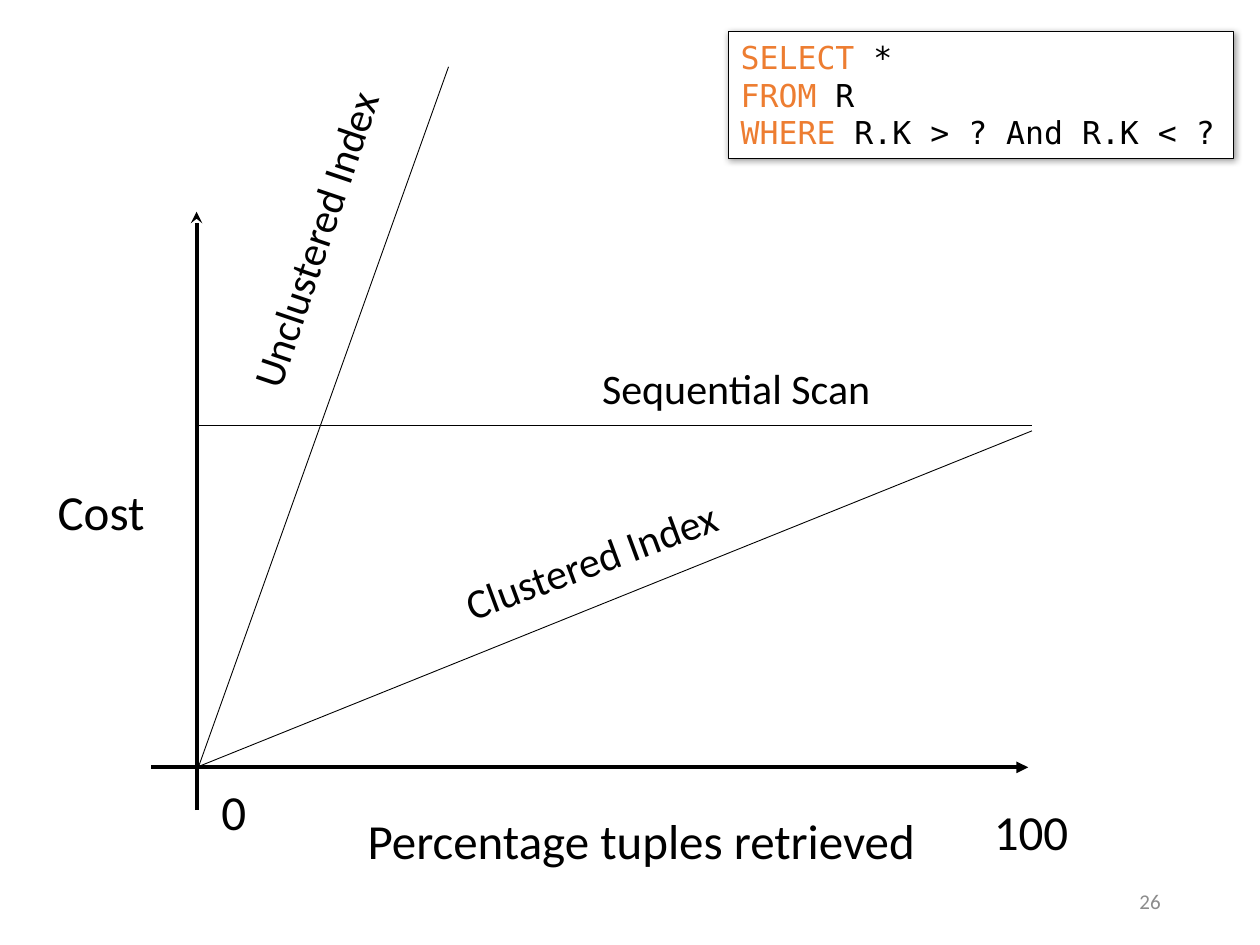
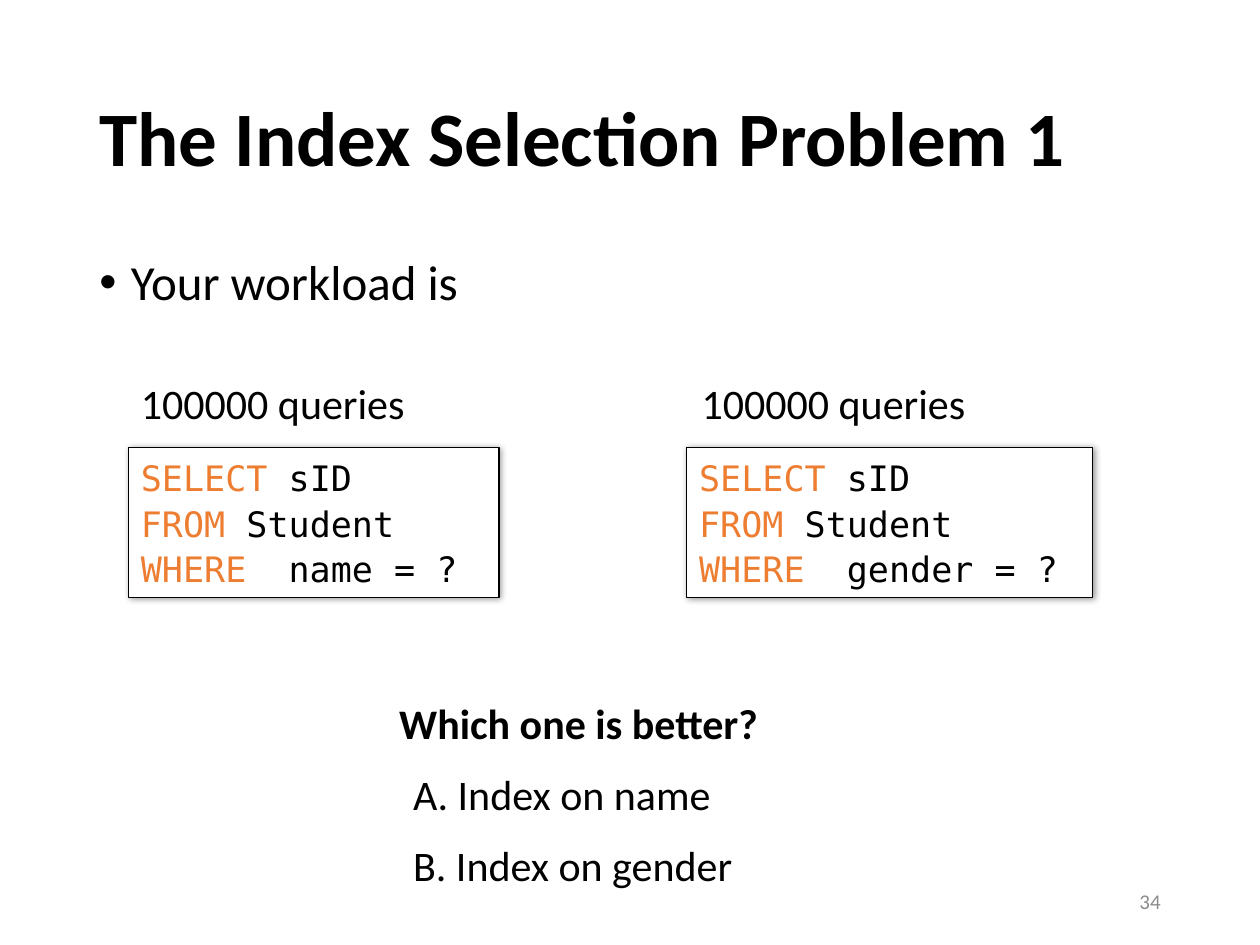
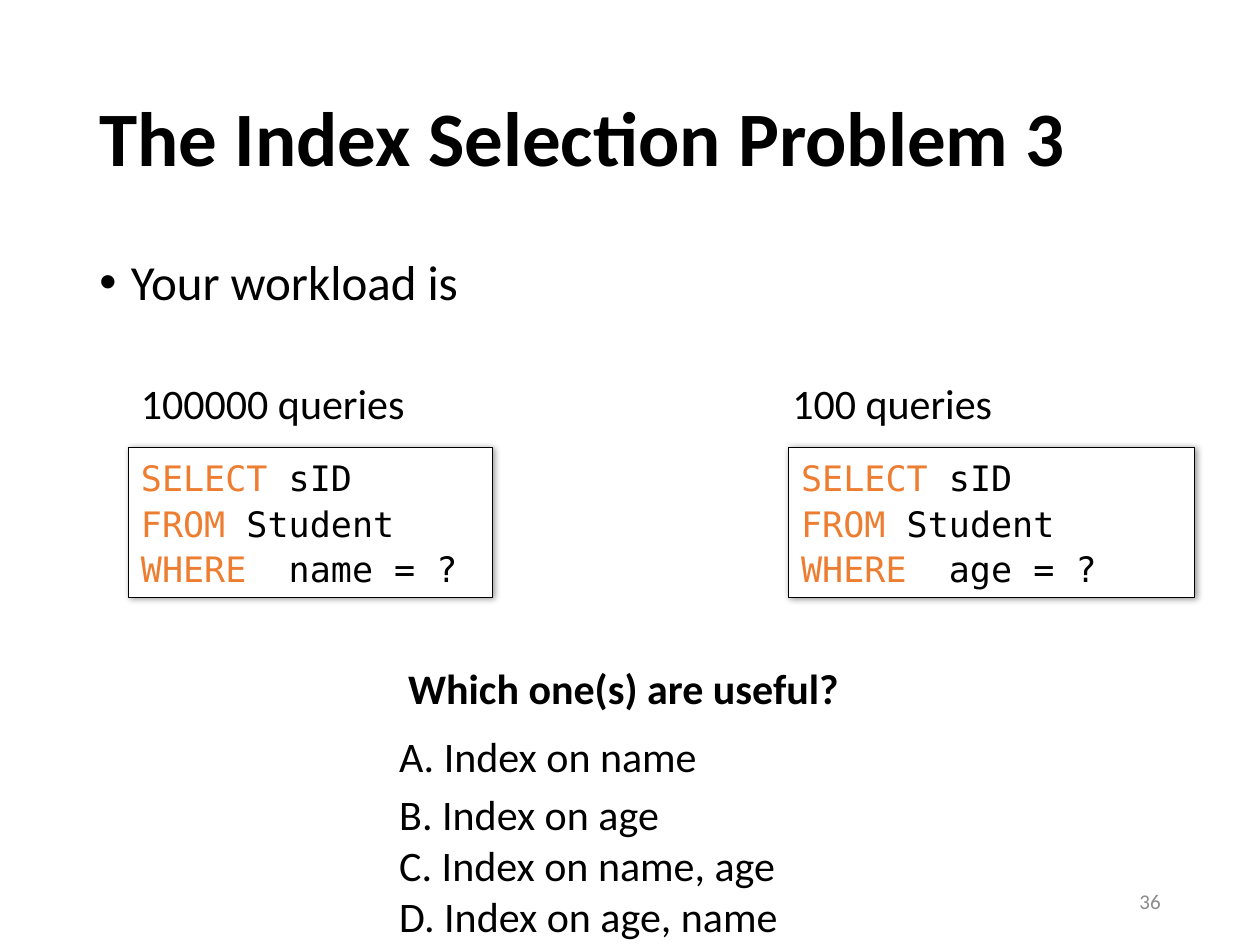
from lxml.etree import SubElement
from pptx import Presentation
from pptx.dml.color import RGBColor
from pptx.enum.shapes import MSO_CONNECTOR, MSO_SHAPE
from pptx.enum.text import MSO_ANCHOR, MSO_AUTO_SIZE, PP_ALIGN
from pptx.oxml.ns import qn
from pptx.util import Inches, Pt

COLS, ROWS = 100, 75  # square grid over the whole slide
WIDE, HIGH = Inches(10), Inches(7.5)
COLORS = {"ink": "000000", "paper": "FFFFFF", "key": "ED7D31", "page": "8C8C8C"}
SANS, MONO = "Calibri", "DejaVu Sans Mono"


def col(n):
    return round(WIDE * n / COLS)


def row(n):
    return round(HIGH * n / ROWS)


def place(x, y, w, h):
    return col(x), row(y), col(w), row(h)


def color(name):
    return RGBColor.from_string(COLORS[name])


def style(font, size, tint="ink", face=SANS, bold=False):
    font.name, font.size, font.bold = face, Pt(size), bold
    font.color.rgb = color(tint)


def add_text(slide, area, text, size, tint="ink", bold=False):
    box = slide.shapes.add_textbox(*place(*area))
    frame = box.text_frame
    frame.word_wrap = True
    frame.text = text
    style(frame.paragraphs[0].runs[0].font, size, tint, bold=bold)
    return box


def add_label(slide, x, y, w, text, size=24, bold=False, turn=0):
    """Add one line of text that never wraps."""
    box = add_text(slide, (x, y, w, 5.7 if size > 24 else 5), text, size, bold=bold)
    box.text_frame.word_wrap = False
    box.text_frame.auto_size = MSO_AUTO_SIZE.SHAPE_TO_FIT_TEXT
    box.rotation = turn


def add_title(slide, text):
    frame = add_text(slide, (6.9, 4, 86.2, 14.5), text, 44, bold=True).text_frame
    frame.vertical_anchor = MSO_ANCHOR.MIDDLE
    frame.paragraphs[0].line_spacing = 0.9


def add_bullet(slide, text):
    box = slide.shapes.add_textbox(*place(6.9, 20, 86.2, 47.6))
    box.text_frame.word_wrap = True
    box.text_frame.text = text
    para = box.text_frame.paragraphs[0]
    props = para._p.get_or_add_pPr()
    props.set("marL", str(Inches(0.25)))
    props.set("indent", str(-Inches(0.25)))
    SubElement(props, qn("a:buFont"), typeface="Arial")
    SubElement(props, qn("a:buChar"), char="•")
    para.line_spacing = 0.9
    style(para.runs[0].font, 28)


def add_page(slide, number):
    frame = add_text(slide, (70.6, 69.5, 22.5, 4), str(number), 12, "page").text_frame
    frame.vertical_anchor = MSO_ANCHOR.MIDDLE
    frame.paragraphs[0].alignment = PP_ALIGN.RIGHT


def add_shadow(shape):
    shape.shadow.inherit = False
    effects = shape.element.spPr.find(qn("a:effectLst"))
    outer = SubElement(effects, qn("a:outerShdw"), blurRad=str(Pt(4)), dist=str(Pt(1)),
                       dir=str(45 * 60000), algn="tl", rotWithShape="0")
    shade = SubElement(outer, qn("a:srgbClr"), val=COLORS["ink"])
    SubElement(shade, qn("a:alpha"), val="40000")


def add_query(slide, area, lines, size=20, pitch=None, wrap=True):
    """Add a code box; the first word of each line is a keyword."""
    box = slide.shapes.add_shape(MSO_SHAPE.RECTANGLE, *place(*area))
    box.fill.solid()
    box.fill.fore_color.rgb = color("paper")
    box.line.color.rgb = color("ink")
    box.line.width = Pt(0.75)
    add_shadow(box)
    frame = box.text_frame
    frame.word_wrap = wrap
    frame.auto_size = MSO_AUTO_SIZE.SHAPE_TO_FIT_TEXT
    frame.vertical_anchor = MSO_ANCHOR.TOP
    frame.text = "\n".join(line.partition(" ")[0] for line in lines)
    for para, line in zip(frame.paragraphs, lines):
        para.alignment = PP_ALIGN.LEFT
        para.line_spacing = pitch
        style(para.runs[0].font, size, "key", MONO)
        rest = para.add_run()
        rest.text = line[len(para.runs[0].text):]
        style(rest.font, size, "ink", MONO)


def add_line(slide, start, end, width=0.5, head=None):
    link = slide.shapes.add_connector(
        MSO_CONNECTOR.STRAIGHT, col(start[0]), row(start[1]), col(end[0]), row(end[1]))
    link.line.color.rgb = color("ink")
    link.line.width = Pt(width)
    props = link.element.spPr
    if head:
        SubElement(props.find(qn("a:ln")), qn("a:tailEnd"), type=head)
    SubElement(props, qn("a:effectLst"))


def new_slide(deck, page):
    slide = deck.slides.add_slide(deck.slide_layouts[6])
    add_page(slide, page)
    return slide


def cost_slide(deck):
    slide = new_slide(deck, 26)
    left, base, right, scan = 15.6, 60.9, 81.9, 33.8
    add_line(slide, (12, base), (81.6, base), 2.25, "triangle")
    add_line(slide, (left, 64.3), (left, 16.8), 2.25, "stealth")
    for x, y, w, text in [(3.6, 37.7, 9, "Cost"),
                          (28.2, 63.8, 45.9, "Percentage tuples retrieved"),
                          (16.6, 61.5, 4, "0"), (77.9, 63.1, 8, "100")]:
        add_label(slide, x, y, w, text, 28)
    add_query(slide, (57.8, 2.5, 40.1, 10.1),
              ["SELECT *", "FROM R", "WHERE R.K > ? And R.K < ?"], 18, wrap=False)
    add_line(slide, (left, scan), (right, scan))
    add_line(slide, (left, base), (right, 34.2))
    add_line(slide, (left, 61.3), (35.6, 5.3))
    for x, y, w, text, turn in [(46.8, 28.3, 23.6, "Sequential Scan", 0),
                                (35.4, 41.9, 23.2, "Clustered Index", 339.7),
                                (11.5, 16.2, 27.1, "Unclustered Index", 288.7)]:
        add_label(slide, x, y, w, text, turn=turn)


def problem_slide(deck, page, number, loads, ask, picks):
    """Show a workload of (label, query, field) loads, a question and its answers."""
    slide = new_slide(deck, page)
    add_title(slide, f"The Index Selection Problem {number}")
    add_bullet(slide, "Your workload is")
    for (x, w, count), (left, wide), field in loads:
        add_query(slide, (left, 35.5, wide, 11.9),
                  ["SELECT sID", "FROM Student", f"WHERE  {field} = ?"], pitch=Pt(26))
        add_label(slide, x, 29.5, w, f"{count} queries")
    add_label(slide, *ask, bold=True)
    for pick in picks:
        add_label(slide, *pick)


def main():
    deck = Presentation()
    deck.slide_width, deck.slide_height = WIDE, HIGH
    cost_slide(deck)
    problem_slide(
        deck, 34, 1,
        [((10.2, 23.1, 100000), (10.2, 29.4), "name"),
         ((54.7, 23.1, 100000), (54.5, 32.2), "gender")],
        (30.7, 54.9, 30.9, "Which one is better?"),
        [(31.8, 60.5, 25.8, "A. Index on name"),
         (31.8, 66.1, 27.6, "B. Index on gender")])
    problem_slide(
        deck, 36, 3,
        [((10.2, 23.1, 100000), (10.2, 28.9), "name"),
         ((61.9, 18, 100), (62.6, 32.2), "age")],
        (31.4, 52.1, 36.5, "Which one(s) are useful?"),
        [(30.7, 57.5, 25.8, "A. Index on name"),
         (30.7, 62.1, 22.8, "B. Index on age"),
         (30.7, 66.1, 32.1, "C. Index on name, age"),
         (30.7, 70.2, 32.1, "D. Index on age, name")])
    deck.save("out.pptx")


if __name__ == "__main__":
    main()
